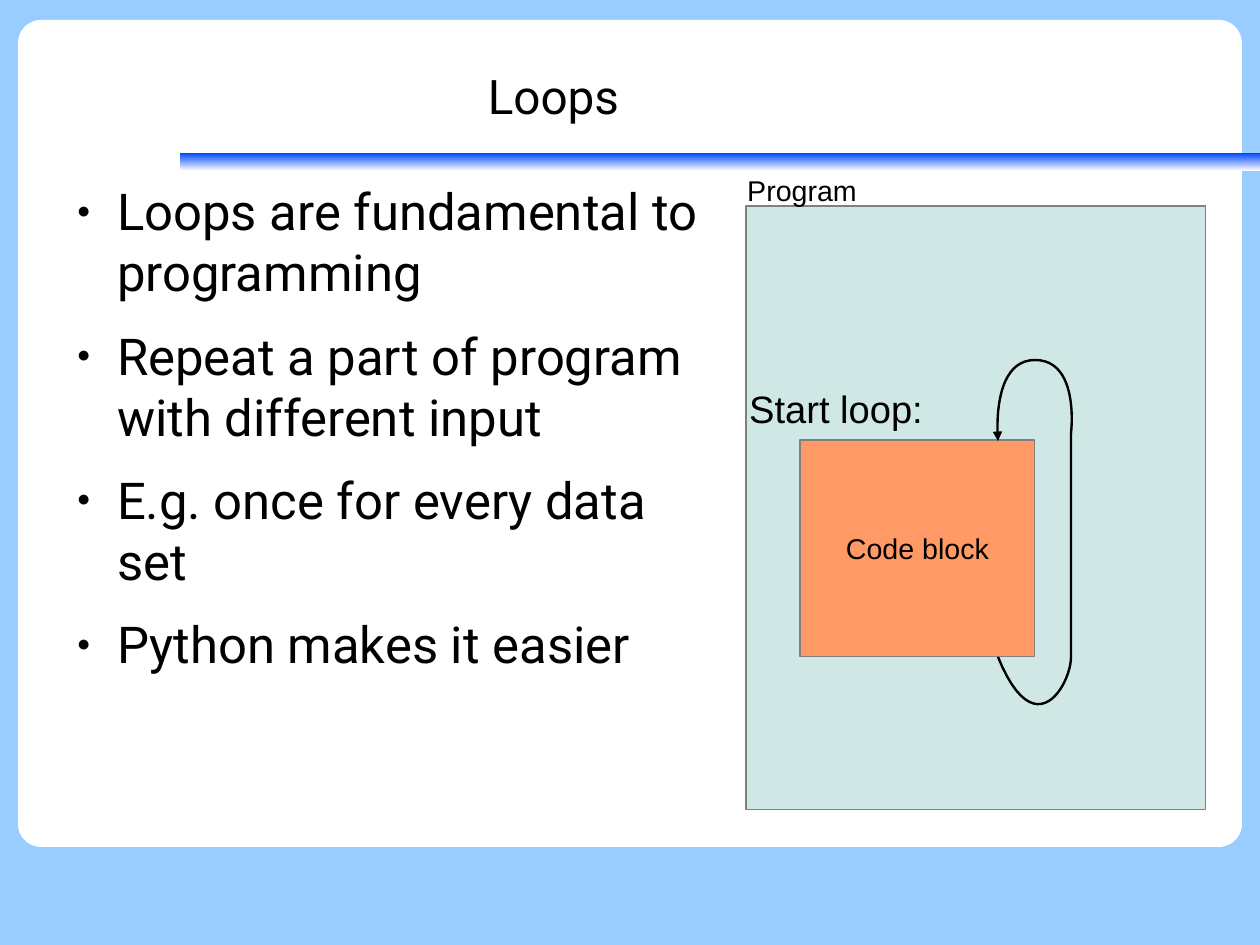
"""Build a slide that explains loops with a list and a flow sketch."""
from lxml.etree import SubElement
from pptx import Presentation
from pptx.dml.color import RGBColor
from pptx.enum.shapes import MSO_SHAPE
from pptx.enum.text import MSO_ANCHOR, MSO_AUTO_SIZE, PP_ALIGN
from pptx.oxml.ns import qn
from pptx.util import Pt

PX = 8000
STEPS = 24
HEX = {"sky": "99CCFF", "white": "FFFFFF", "blue": "0047FF", "mint": "CFE7E5",
       "coral": "FF9966", "gray": "808080", "black": "000000"}
RGB = {name: RGBColor.from_string(code) for name, code in HEX.items()}
POINTS = ["Loops are fundamental to programming",
          "Repeat a part of program with different input",
          "E.g. once for every data set",
          "Python makes it easier"]


def block(kind, box, fill=None, edge=None):
    shape = slide.shapes.add_shape(kind, *[n * PX for n in box])
    shape.shadow.inherit = False
    if fill:
        shape.fill.solid()
        shape.fill.fore_color.rgb = RGB[fill]
    if edge:
        shape.line.color.rgb = RGB[edge]
        shape.line.width = Pt(0)
    else:
        shape.line.fill.background()
    return shape


def style(para, text, face, size, align=PP_ALIGN.LEFT):
    para.text = text
    para.alignment = align
    para.font.name = face
    para.font.size = Pt(size)
    para.font.color.rgb = RGB["black"]


deck = Presentation()
deck.slide_width, deck.slide_height = 1260 * PX, 945 * PX
slide = deck.slides.add_slide(deck.slide_layouts[1])
slide.background.fill.solid()
slide.background.fill.fore_color.rgb = RGB["sky"]

card = block(MSO_SHAPE.ROUNDED_RECTANGLE, (18, 20, 1224, 827), "white")
card.adjustments[0] = 0.028
rule = block(MSO_SHAPE.RECTANGLE, (180, 153, 1080, 18))
rule.fill.gradient()
rule.fill.gradient_angle = 90
for stop, name in zip(rule.fill.gradient_stops, ("white", "blue")):
    stop.color.rgb = RGB[name]

title, body = slide.shapes.title, slide.placeholders[1]
for holder, box, anchor in ((title, (63, 38, 981, 115), MSO_ANCHOR.MIDDLE),
                            (body, (63, 180, 639, 624), MSO_ANCHOR.TOP)):
    holder.left, holder.top, holder.width, holder.height = [n * PX for n in box]
    frame = holder.text_frame
    frame.margin_left = frame.margin_top = 0
    frame.margin_right = frame.margin_bottom = 0
    frame.vertical_anchor = anchor
    frame.word_wrap = True
    frame.auto_size = MSO_AUTO_SIZE.NONE
    holder.element.getparent().append(holder.element)

style(title.text_frame.paragraphs[0], "Loops", "Roboto", 30, PP_ALIGN.CENTER)
for i, text in enumerate(POINTS):
    frame = body.text_frame
    para = frame.add_paragraph() if i else frame.paragraphs[0]
    para.space_before, para.space_after = Pt(0), Pt(14.1)
    props = para._p.get_or_add_pPr()
    props.set("marL", str(54 * PX))
    props.set("indent", str(-40 * PX))
    tint = SubElement(props, qn("a:buClr"))
    SubElement(tint, qn("a:srgbClr"), val=HEX["black"])
    SubElement(props, qn("a:buSzPct"), val="45000")
    SubElement(props, qn("a:buChar"), char="●")
    style(para, text, "Roboto", 32)

block(MSO_SHAPE.RECTANGLE, (746, 206, 460, 604), "mint", "gray")
code = block(MSO_SHAPE.RECTANGLE, (800, 440, 235, 217), "coral", "gray")
code.text_frame.word_wrap = False
code.text_frame.vertical_anchor = MSO_ANCHOR.MIDDLE
style(code.text_frame.paragraphs[0], "Code block", "Arial", 18, PP_ALIGN.CENTER)

for text, size, box in (("Start loop:", 24, (738, 380, 197, 54)),
                        ("Program", 18, (736, 167, 133, 43))):
    label = slide.shapes.add_textbox(*[n * PX for n in box])
    label.text_frame.word_wrap = False
    style(label.text_frame.paragraphs[0], text, "Arial", size)

curves = [((998, 657), (1035, 748), (1071, 684), (1071, 657)),
          ((1071, 433), (1071, 433), (1080, 360), (1035, 360)),
          ((1035, 360), (990, 360), (998, 441), (998, 441))]
track = []
for curve in curves:
    for step in range(STEPS + 1):
        t = step / STEPS
        mix = ((1 - t) ** 3, 3 * t * (1 - t) ** 2, 3 * t * t * (1 - t), t ** 3)
        track.append(tuple(PX * sum(m * p[axis] for m, p in zip(mix, curve))
                           for axis in (0, 1)))
pen = slide.shapes.build_freeform(*track[0], scale=1.0)
pen.add_line_segments(track[1:], close=False)
arrow = pen.convert_to_shape()
arrow.shadow.inherit = False
arrow.fill.background()
arrow.line.color.rgb = RGB["black"]
arrow.line.width = Pt(1.5)
SubElement(arrow.line._get_or_add_ln(), qn("a:tailEnd"), type="triangle")

deck.save("out.pptx")
